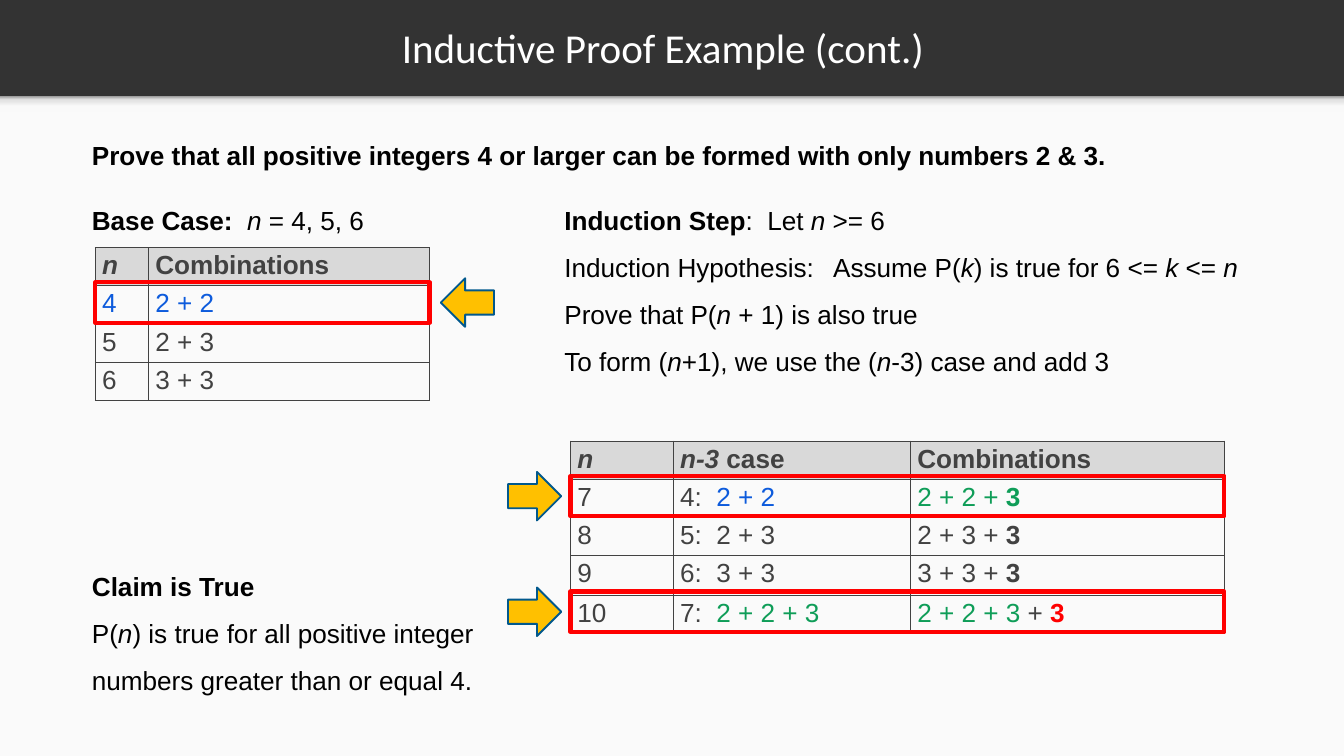
from lxml import etree
from pptx import Presentation
from pptx.dml.color import RGBColor
from pptx.enum.shapes import MSO_SHAPE
from pptx.enum.text import MSO_ANCHOR, PP_ALIGN
from pptx.oxml.ns import qn
from pptx.util import Pt

RECTANGLE, ARROW = MSO_SHAPE.RECTANGLE, MSO_SHAPE.RIGHT_ARROW
LEFT, CENTER = PP_ALIGN.LEFT, PP_ALIGN.CENTER
TOP, MIDDLE = MSO_ANCHOR.TOP, MSO_ANCHOR.MIDDLE

COLORS = {
    "header": "333333", "body": "FAFAFA", "white": "FFFFFF", "black": "000000",
    "cell": "424242", "table_head": "D9D9D9", "blue": "0D5BDC",
    "green": "0F9D58", "red": "FF0000", "arrow": "FFC000", "arrow_line": "01588C",
}


def rgb(name):
    return RGBColor.from_string(COLORS[name])


def write_text(frame, paragraphs, size=28, font="Arial", color="black",
               align=LEFT, anchor=TOP, spacing=None):
    """A paragraph is a list of runs: plain text or (text, "b"/"i" flags, color)."""
    frame.word_wrap = True
    frame.vertical_anchor = anchor
    for index, runs in enumerate(paragraphs):
        paragraph = frame.paragraphs[0] if index == 0 else frame.add_paragraph()
        paragraph.alignment = align
        paragraph.line_spacing = spacing
        for item in runs:
            text, flags, run_color = item if isinstance(item, tuple) else (item, "", color)
            run = paragraph.add_run()
            run.text = text
            run.font.size = Pt(size)
            run.font.name = font
            run.font.bold = "b" in flags
            run.font.italic = "i" in flags
            run.font.color.rgb = rgb(run_color or color)


presentation = Presentation()
presentation.slide_width, presentation.slide_height = Pt(1440), Pt(809.63)
slide = presentation.slides.add_slide(presentation.slide_layouts[6])
slide.background.fill.solid()
slide.background.fill.fore_color.rgb = rgb("header")

# Body panel and the shade below the header
panel = slide.shapes.add_shape(RECTANGLE, Pt(0), Pt(103.5), Pt(1440), Pt(706.13))
panel.shadow.inherit = False
panel.fill.solid()
panel.fill.fore_color.rgb = rgb("body")
panel.line.fill.background()

shade = slide.shapes.add_shape(RECTANGLE, Pt(0), Pt(103), Pt(1440), Pt(17.3))
shade.shadow.inherit = False
shade.line.fill.background()
shade.fill.gradient()
shade.fill.gradient_angle = 270
stops = shade.fill._fill._gradFill.find(qn("a:gsLst"))
for stop in list(stops):
    stops.remove(stop)
for percent, tone in ((0, "999999"), (20, "DEDEDE"), (64, "F9F9F9"), (100, "F9F9F9")):
    stop = etree.SubElement(stops, qn("a:gs"), pos=str(percent * 1000))
    etree.SubElement(stop, qn("a:srgbClr"), val=tone)

# Title
title = slide.shapes.add_textbox(Pt(15.8), Pt(2.9), Pt(1389.6), Pt(95))
write_text(title.text_frame, [["Inductive Proof Example (cont.)"]], size=44,
           font="Calibri", color="white", align=CENTER, anchor=MIDDLE)

# Text blocks: left, top, width, height, line spacing, paragraphs
n, k = ("n", "i", None), ("k", "i", None)
text_blocks = [
    (91.4, 145.4, 1144, 41, None, [
        [("Prove that all positive integers 4 or larger can be formed "
          "with only numbers 2 & 3.", "b", None)]]),
    (91.4, 198.3, 449, 52, 1.5, [
        [("Base Case:  ", "b", None), n, " = 4, 5, 6"]]),
    (597.6, 198.3, 764.6, 204.5, 1.5, [
        [("Induction Step", "b", None), ":  Let ", n, " >= 6"],
        ["Induction Hypothesis:\tAssume P(", k, ") is true for 6 <= ", k, " <= ", n],
        ["Prove that P(", n, " + 1) is also true"],
        ["To form (", n, "+1), we use the (", n, "-3) case and add 3"]]),
    (91.4, 590, 437.8, 153.4, 1.5, [
        [("Claim is True", "b", None)],
        ["P(", n, ") is true for all positive integer numbers greater than or equal 4."]]),
]
for left, top, width, height, spacing, paragraphs in text_blocks:
    box = slide.shapes.add_textbox(Pt(left), Pt(top), Pt(width), Pt(height))
    write_text(box.text_frame, paragraphs, spacing=spacing)

# Tables: left, top, column widths, row heights, rows of cells
head_n, head_combinations = [("n", "bi", None)], [("Combinations", "b", None)]
plus_three = ("3", "b", None)
tables = [
    (102.2, 265, (57, 301), (41, 41, 41, 41), [
        [head_n, head_combinations],
        [[("4", "", "blue")], [("2 + 2", "", "blue")]],
        [["5"], ["2 + 3"]],
        [["6"], ["3 + 3"]]]),
    (611.3, 472.3, (110.2, 254.2, 336.2), (41, 41, 41, 42.5, 41), [
        [head_n, [("n-3", "bi", None), (" case", "b", None)], head_combinations],
        [["7"], ["4:  ", ("2 + 2", "", "blue")],
         [("2 + 2 +", "", "green"), (" 3", "b", "green")]],
        [["8"], ["5:  2 + 3"], ["2 + 3 + ", plus_three]],
        [["9"], ["6:  3 + 3"], ["3 + 3 +", (" 3", "b", None)]],
        [["10"], ["7:  ", ("2 + 2 + 3", "", "green")],
         [("2 + 2 + 3", "", "green"), " + ", ("3", "b", "red")]]]),
]
for left, top, widths, heights, rows in tables:
    table = slide.shapes.add_table(
        len(rows), len(widths), Pt(left), Pt(top),
        Pt(sum(widths)), Pt(sum(heights))).table
    for column, width in zip(table.columns, widths):
        column.width = Pt(width)
    for row_index, row in enumerate(rows):
        table.rows[row_index].height = Pt(heights[row_index])
        for column_index, runs in enumerate(row):
            cell = table.cell(row_index, column_index)
            write_text(cell.text_frame, [runs], color="cell")
            properties = cell._tc.get_or_add_tcPr()
            for side in ("a:lnL", "a:lnR", "a:lnT", "a:lnB"):
                border = etree.SubElement(properties, qn(side), w=str(Pt(1)))
                fill = etree.SubElement(border, qn("a:solidFill"))
                etree.SubElement(fill, qn("a:srgbClr"), val=COLORS["cell"])
            if row_index == 0:
                cell.fill.solid()
                cell.fill.fore_color.rgb = rgb("table_head")
            else:
                cell.fill.background()

# Highlighted rows, each with its arrow: frame left, middle, width, arrow left, rotation
highlights = [
    (102.2, 324, 358, 472.3, 180),
    (611.3, 531.4, 700.6, 544.3, 0),
    (611.3, 655.2, 700.6, 544.3, 0),
]
for left, middle, width, arrow_left, rotation in highlights:
    frame = slide.shapes.add_shape(RECTANGLE, Pt(left), Pt(middle - 21.6), Pt(width), Pt(43.2))
    frame.shadow.inherit = False
    frame.fill.background()
    frame.line.color.rgb = rgb("red")
    frame.line.width = Pt(4.5)

    arrow = slide.shapes.add_shape(ARROW, Pt(arrow_left), Pt(middle - 26), Pt(57), Pt(52))
    arrow.shadow.inherit = False
    arrow.rotation = rotation
    arrow.fill.solid()
    arrow.fill.fore_color.rgb = rgb("arrow")
    arrow.line.color.rgb = rgb("arrow_line")
    arrow.line.width = Pt(2)

presentation.save("out.pptx")
